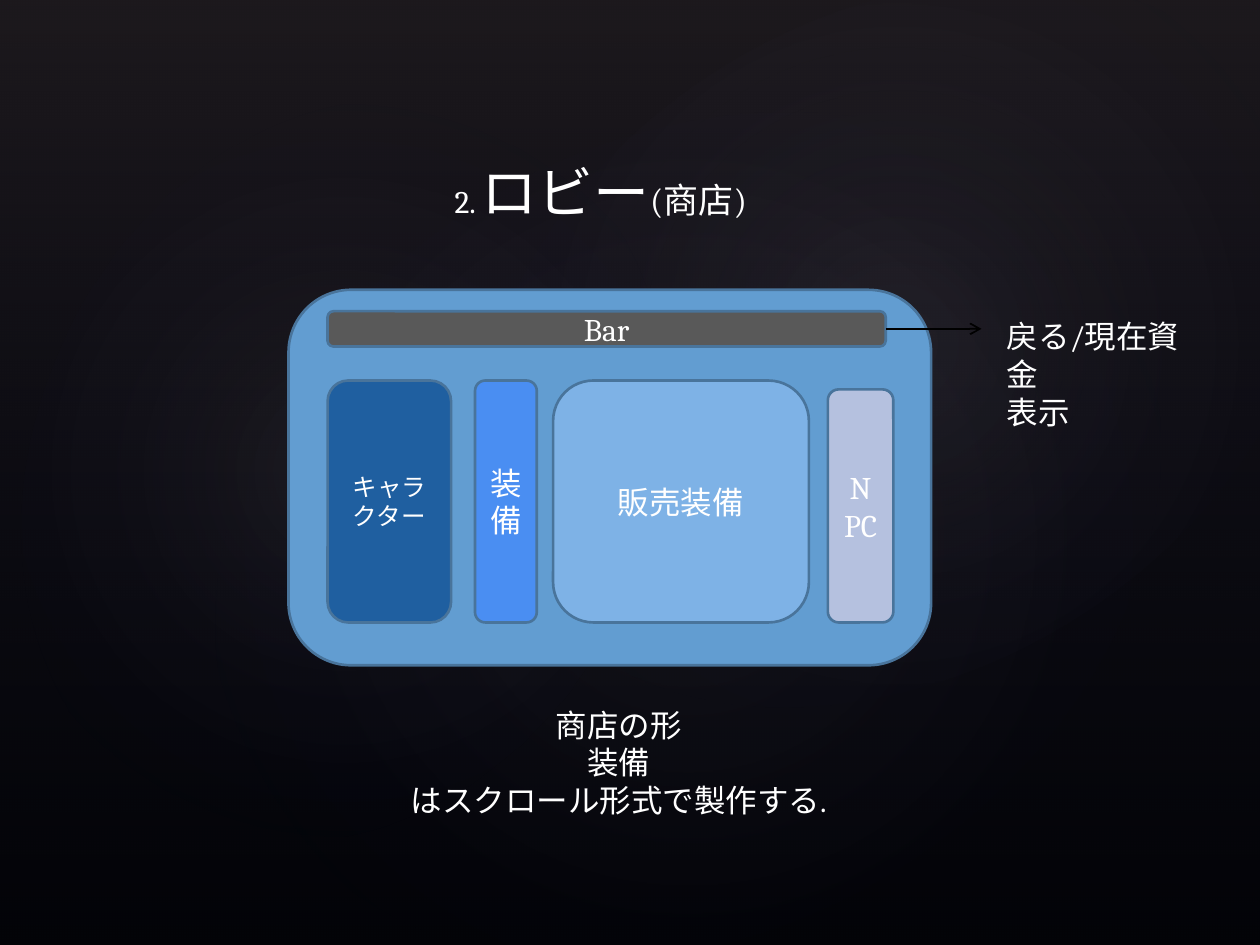
from lxml import etree
from pptx import Presentation
from pptx.dml.color import RGBColor
from pptx.enum.shapes import MSO_CONNECTOR, MSO_SHAPE
from pptx.enum.text import MSO_ANCHOR, MSO_AUTO_SIZE, PP_ALIGN
from pptx.oxml import parse_xml
from pptx.oxml.ns import nsdecls, qn
from pptx.util import Inches, Pt

RECT, OVAL, ROUNDED = MSO_SHAPE.RECTANGLE, MSO_SHAPE.OVAL, MSO_SHAPE.ROUNDED_RECTANGLE
STRAIGHT = MSO_CONNECTOR.STRAIGHT
MIDDLE, FIT = MSO_ANCHOR.MIDDLE, MSO_AUTO_SIZE.SHAPE_TO_FIT_TEXT
LEFT, CENTER = PP_ALIGN.LEFT, PP_ALIGN.CENTER

COLUMNS, ROWS = 100, 75
LINEAR = '<a:lin ang="5400000" scaled="0"/>'
RADIAL = '<a:path path="circle"><a:fillToRect l="50000" t="50000" r="50000" b="50000"/></a:path>'


def color(value):
    return RGBColor.from_string(value)


class LobbySlide:
    font = "Cambria"
    text_color = "FFFFFF"
    border = "49749B"

    def __init__(self, deck):
        self.deck = deck
        self.slide = deck.slides.add_slide(deck.slide_layouts[6])
        backdrop = self.slide.background.fill
        backdrop.solid()
        backdrop.fore_color.rgb = color("000000")

    def grid(self, *lengths):
        units = (self.deck.slide_width / COLUMNS, self.deck.slide_height / ROWS)
        return [round(length * units[i % 2]) for i, length in enumerate(lengths)]

    def shape(self, kind, box):
        shape = self.slide.shapes.add_shape(kind, *self.grid(*box))
        shape.shadow.inherit = False
        return shape

    def glow(self, kind, box, stops, shade, rotation=0):
        glow = self.shape(kind, box)
        glow.rotation = rotation
        glow.line.fill.background()
        marks = "".join(
            f'<a:gs pos="{place * 1000}"><a:srgbClr val="{tone}">'
            f'<a:alpha val="{alpha * 1000}"/></a:srgbClr></a:gs>'
            for place, tone, alpha in stops)
        gradient = parse_xml(
            f'<a:gradFill {nsdecls("a")} rotWithShape="1"><a:gsLst>{marks}</a:gsLst>{shade}</a:gradFill>')
        glow.element.spPr.find(qn("a:prstGeom")).addnext(gradient)

    def set_text(self, frame, paragraphs, align):
        frame.word_wrap = True
        for index, pieces in enumerate(paragraphs):
            paragraph = frame.paragraphs[0] if index == 0 else frame.add_paragraph()
            paragraph.alignment = align
            for text, size in pieces:
                for part, line in enumerate(text.split("\n")):
                    if part:
                        paragraph.add_line_break()
                    run = paragraph.add_run()
                    run.text = line
                    for name, value in {"name": self.font, "size": Pt(size)}.items():
                        setattr(run.font, name, value)
                    run.font.color.rgb = color(self.text_color)

    def panel(self, box, fill, label="", size=18):
        panel = self.shape(ROUNDED, box)
        panel.fill.solid()
        panel.fill.fore_color.rgb = color(fill)
        panel.line.color.rgb = color(self.border)
        panel.line.width = Pt(1.5)
        if label:
            panel.text_frame.vertical_anchor = MIDDLE
            self.set_text(panel.text_frame, [[(label, size)]], CENTER)
        return panel

    def caption(self, box, paragraphs, align=LEFT):
        frame = self.slide.shapes.add_textbox(*self.grid(*box)).text_frame
        self.set_text(frame, paragraphs, align)
        frame.auto_size = FIT

    def arrow(self, source, start, end):
        arrow = self.slide.shapes.add_connector(STRAIGHT, *self.grid(*start, *end))
        arrow.begin_connect(source, 3)
        arrow.line.color.rgb = color("000000")
        arrow.line.width = Pt(1)
        properties = arrow.element.spPr
        etree.SubElement(properties.find(qn("a:ln")), qn("a:tailEnd"), type="arrow")
        etree.SubElement(properties, qn("a:effectLst"))


def main():
    deck = Presentation()
    deck.slide_width, deck.slide_height = Inches(10), Inches(7.5)
    lobby = LobbySlide(deck)

    lobby.glow(RECT, (0, 0, COLUMNS, ROWS), [(0, "504652", 36), (100, "242852", 10)], LINEAR)
    for box, rotation, alpha in [
        ((15, 11.4, 79.2, 62.4), 328.7, 7),
        ((-3, 12.8, 60.6, 49), 294.3, 8),
        ((35.8, 1.3, 70.9, 52), 328.7, 8),
    ]:
        lobby.glow(OVAL, box, [(0, "C4BCC6", alpha), (58, "242852", 0)], RADIAL, rotation)

    lobby.caption((35.1, 12, 38, 6.4), [[("2. ", 18), ("ロビー", 32), ("(商店)", 20)]])
    lobby.panel((22.9, 23, 51, 29.8), "629DD1")
    lobby.caption((27.5, 55.5, 43.2, 10.1),
                  [[("商店の形\n装備", 18)], [("はスクロール形式で製作する.", 18)]], CENTER)

    bar = lobby.panel((26, 24.7, 44.3, 2.8), "595959", "Bar")
    floor = 49.4
    for left, top, width, fill, label, size in [
        (26, 30.2, 9.8, "1F5FA0", "キャラクター", 14),
        (37.7, 30.2, 4.9, "4A8EF2", "装備", 18),
        (43.9, 30.2, 20.3, "7EB2E6", "販売装備", 18),
        (65.7, 30.9, 5.2, "B5C1DF", "NPC", 18),
    ]:
        lobby.panel((left, top, width, floor - top), fill, label, size)

    lobby.arrow(bar, (70.3, 26.1), (77.9, 26.1))
    lobby.caption((78.9, 24.7, 18, 7.1), [[("戻る/現在資金", 18)], [("表示", 18)]])
    deck.save("out.pptx")


if __name__ == "__main__":
    main()
